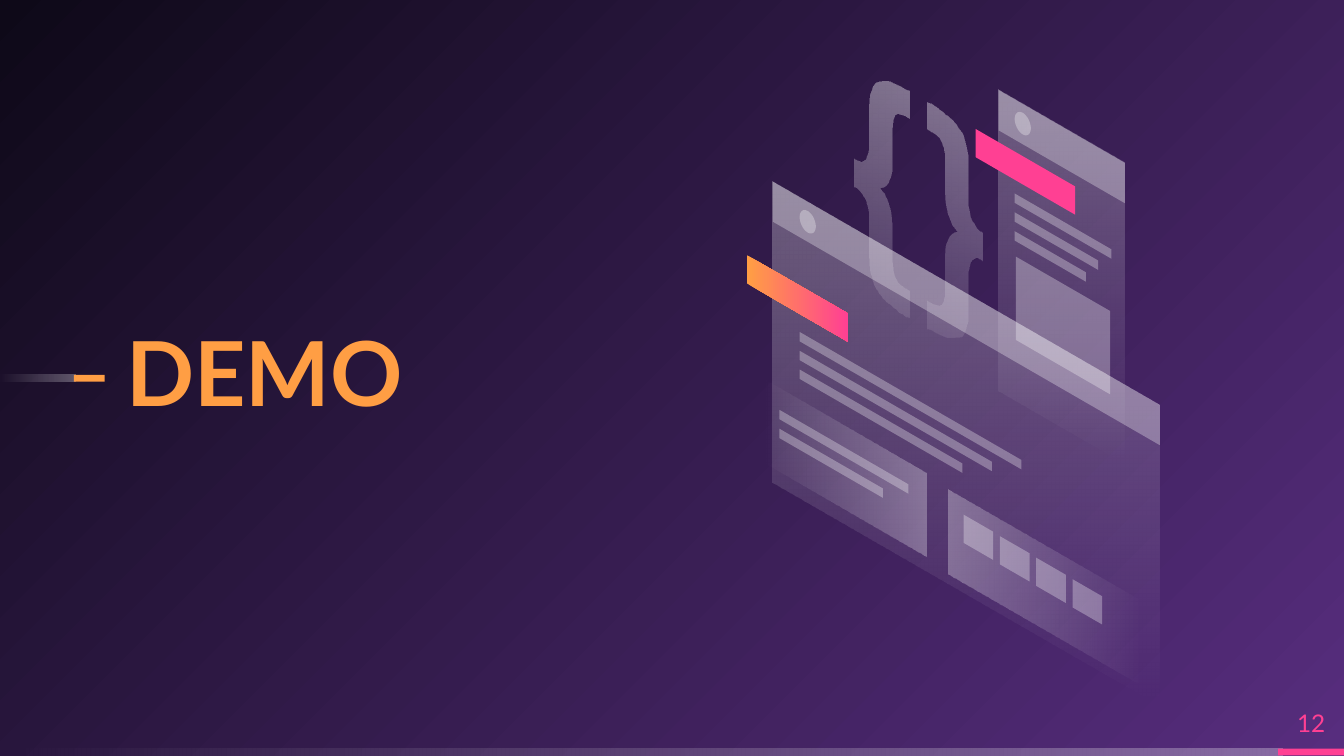
import math

from lxml import etree
from pptx import Presentation
from pptx.dml.color import RGBColor
from pptx.enum import shapes, text
from pptx.oxml import ns
from pptx.util import Inches, Pt

WHITE = RGBColor(0xFF, 0xFF, 0xFF)
PINK = RGBColor(0xFF, 0x40, 0x93)
ORANGE = RGBColor(0xFF, 0x9E, 0x44)
PURPLE = RGBColor(0x57, 0x2D, 0x7E)
NIGHT = RGBColor(0x0E, 0x09, 0x18)

SLOPE = math.tan(math.radians(30))
GLASS = [(WHITE, 30)]
GLASS_FADE = [(WHITE, 30), (WHITE, 0)]
BRACE_FADE = [(WHITE, 40), (WHITE, 9)]

BRACE_START = (0, 0.57)
BRACE_OUTLINE = [
    [(0.04, 0.6), (0.06, 0.6), (0.08, 0.58)],
    [(0.1, 0.55), (0.11, 0.52), (0.11, 0.47)],
    [(0.11, 0.21)],
    [(0.11, 0.16), (0.11, 0.12), (0.12, 0.09)],
    [(0.13, 0.05), (0.14, 0.03), (0.16, 0.01)],
    [(0.19, 0), (0.22, 0), (0.25, 0)],
    [(0.29, 0.01), (0.33, 0.03), (0.38, 0.06)],
    [(0.41, 0.07)],
    [(0.41, 0.28)],
    [(0.38, 0.26)],
    [(0.34, 0.24), (0.31, 0.24), (0.3, 0.25)],
    [(0.29, 0.27), (0.28, 0.3), (0.28, 0.35)],
    [(0.28, 0.58)],
    [(0.28, 0.64), (0.28, 0.69), (0.26, 0.72)],
    [(0.25, 0.76), (0.23, 0.78), (0.19, 0.79)],
    [(0.23, 0.84), (0.25, 0.89), (0.26, 0.94)],
    [(0.27, 0.98), (0.28, 1.04), (0.28, 1.1)],
    [(0.28, 1.33)],
    [(0.28, 1.38), (0.29, 1.42), (0.3, 1.45)],
    [(0.31, 1.48), (0.34, 1.51), (0.38, 1.53)],
    [(0.41, 1.55)],
    [(0.41, 1.75)],
    [(0.38, 1.74)],
    [(0.33, 1.71), (0.29, 1.67), (0.25, 1.64)],
    [(0.21, 1.61), (0.19, 1.57), (0.16, 1.53)],
    [(0.14, 1.49), (0.13, 1.45), (0.12, 1.41)],
    [(0.11, 1.36), (0.11, 1.31), (0.11, 1.27)],
    [(0.11, 1)],
    [(0.11, 0.96), (0.1, 0.91), (0.08, 0.87)],
    [(0.06, 0.83), (0.04, 0.8), (0, 0.78)],
]


def set_alpha(fill_element, alphas):
    colors = fill_element.iter(ns.qn("a:srgbClr"))
    for color, alpha in zip(colors, alphas):
        if alpha < 100:
            etree.SubElement(color, ns.qn("a:alpha"), val=str(alpha * 1000))


def paint(shape, stops, angle=0):
    shape.shadow.inherit = False
    shape.line.fill.background()
    if len(stops) == 1:
        shape.fill.solid()
        shape.fill.fore_color.rgb = stops[0][0]
    else:
        shape.fill.gradient()
        shape.fill.gradient_angle = -angle % 360
        for stop, (color, _) in zip(shape.fill.gradient_stops, stops):
            stop.color.rgb = color
    set_alpha(shape._element.spPr, [alpha for _, alpha in stops])


def add_outline(slide, points, stops, angle=0):
    start, *rest = [(Inches(x), Inches(y)) for x, y in points]
    builder = slide.shapes.build_freeform(*start)
    builder.add_line_segments(rest, close=True)
    paint(builder.convert_to_shape(), stops, angle)


def add_slab(slide, left, top, width, height, stops=GLASS, angle=0):
    right, drop = left + width, width * SLOPE
    corners = [(left, top), (right, top + drop),
               (right, top + drop + height), (left, top + height)]
    add_outline(slide, corners, stops, angle)


def add_text_lines(slide, left, top, widths):
    for row, width in enumerate(widths):
        add_slab(slide, left, top + 0.14 * row, width, 0.07)


def add_window_button(slide, center_x, center_y):
    turns = [math.radians(degrees) for degrees in range(0, 360, 6)]
    add_outline(slide, [(center_x + 0.06 * math.cos(turn),
                         center_y + 0.06 * SLOPE * math.cos(turn) + 0.08 * math.sin(turn))
                        for turn in turns], GLASS)


def add_bar(slide, left, top, width, height, stops, angle=0):
    bar = slide.shapes.add_shape(shapes.MSO_SHAPE.RECTANGLE, Inches(left), Inches(top),
                                 Inches(width), Inches(height))
    paint(bar, stops, angle)


def add_label(slide, left, top, width, height, wording, size, color, align, bold=False):
    frame = slide.shapes.add_textbox(Inches(left), Inches(top), Inches(width),
                                     Inches(height)).text_frame
    frame.word_wrap = True
    frame.vertical_anchor = text.MSO_ANCHOR.MIDDLE
    frame.margin_left = frame.margin_right = frame.margin_top = frame.margin_bottom = 0
    paragraph = frame.paragraphs[0]
    paragraph.alignment = align
    run = paragraph.add_run()
    run.text = wording
    run.font.name, run.font.size, run.font.bold = "Lato", Pt(size), bold
    run.font.color.rgb = color
    return paragraph


def curve_points(start, outline, steps=8):
    points = [start]
    for segment in outline:
        if len(segment) == 1:
            points += segment
            continue
        controls = [points[-1], *segment]
        for step in range(1, steps + 1):
            t = step / steps
            weights = [math.comb(3, i) * t**i * (1 - t)**(3 - i) for i in range(4)]
            points.append(tuple(sum(w * c[axis] for w, c in zip(weights, controls))
                                for axis in (0, 1)))
    return points


def paint_background(slide):
    fill = slide.background.fill
    fill.gradient()
    for stop, color in zip(fill.gradient_stops, (PURPLE, NIGHT)):
        stop.color.rgb = color
    linear = next(slide._element.iter(ns.qn("a:lin")))
    radial = etree.Element(ns.qn("a:path"), {"path": "circle"})
    etree.SubElement(radial, ns.qn("a:fillToRect"), l="100000", t="100000")
    linear.getparent().replace(linear, radial)


def draw_footer(slide, left, top, width):
    number_width = 0.49
    number_left = left + width - number_width
    add_bar(slide, left, top + 0.38, 9.54, 0.05, GLASS_FADE, 180)
    add_bar(slide, number_left, top + 0.38, number_width, 0.05, [(PINK, 100)])
    add_label(slide, number_left, top, number_width, 0.38, "12", 13, PINK,
              text.PP_ALIGN.CENTER)


def draw_title(slide, left, top):
    add_bar(slide, left, top + 0.81, 0.56, 0.05, GLASS_FADE, 180)
    add_bar(slide, left + 0.55, top + 0.81, 0.23, 0.05, [(ORANGE, 100)])
    title = add_label(slide, left + 0.94, top, 3.07, 1.66, "DEMO", 48, ORANGE,
                      text.PP_ALIGN.LEFT, bold=True)
    title.line_spacing = 0.9


def draw_braces(slide, left, top, width, height):
    opening = curve_points(BRACE_START, BRACE_OUTLINE)
    closing = [(width - x, height - y) for x, y in opening]
    for brace in (closing, opening):
        add_outline(slide, [(left + x, top + y) for x, y in brace], BRACE_FADE, 110)


def draw_phone(slide, left, top, width, height):
    add_slab(slide, left, top, width, height, GLASS_FADE, 90)
    add_slab(slide, left - 0.17, top + 0.29, 0.74, 0.21, [(PINK, 100)])
    add_slab(slide, left + 0.13, top + 1.24, 0.7, 0.62)
    add_text_lines(slide, left + 0.12, top + 0.77, (0.72, 0.62, 0.53))
    add_slab(slide, left, top, width, 0.3)
    add_window_button(slide, left + 0.18, top + 0.25)


def draw_browser(slide, left, top, width, height):
    add_slab(slide, left, top, width, height, GLASS_FADE, 90)
    add_slab(slide, left - 0.19, top + 0.55, 0.75, 0.21, [(ORANGE, 100), (PINK, 100)])
    add_text_lines(slide, left + 0.2, top + 1.12, (1.65, 1.43, 1.21))
    add_slab(slide, left + 1.31, top + 2.29, 1.45, 0.63, GLASS_FADE)
    for tile in range(4):
        add_slab(slide, left + 1.42 + 0.27 * tile, top + 2.48 + 0.16 * tile, 0.22, 0.21)
    add_slab(slide, left - 0.07, top + 1.47, 1.21, 0.62, GLASS_FADE, 180)
    add_text_lines(slide, left + 0.05, top + 1.7, (0.96, 0.77))
    add_slab(slide, left, top, width, 0.3)
    add_window_button(slide, left + 0.26, top + 0.3)


def main():
    deck = Presentation()
    deck.slide_width = Inches(10)
    deck.slide_height = deck.slide_width * 9 // 16
    slide = deck.slides.add_slide(deck.slide_layouts[6])
    paint_background(slide)
    draw_footer(slide, 0, 5.19, 10)
    draw_title(slide, 0, 1.98)
    draw_braces(slide, 6.36, 0.61, 0.95, 1.9)
    draw_phone(slide, 7.43, 0.67, 0.94, 2.24)
    draw_browser(slide, 5.75, 1.35, 2.88, 2.24)
    deck.save("out.pptx")


if __name__ == "__main__":
    main()
